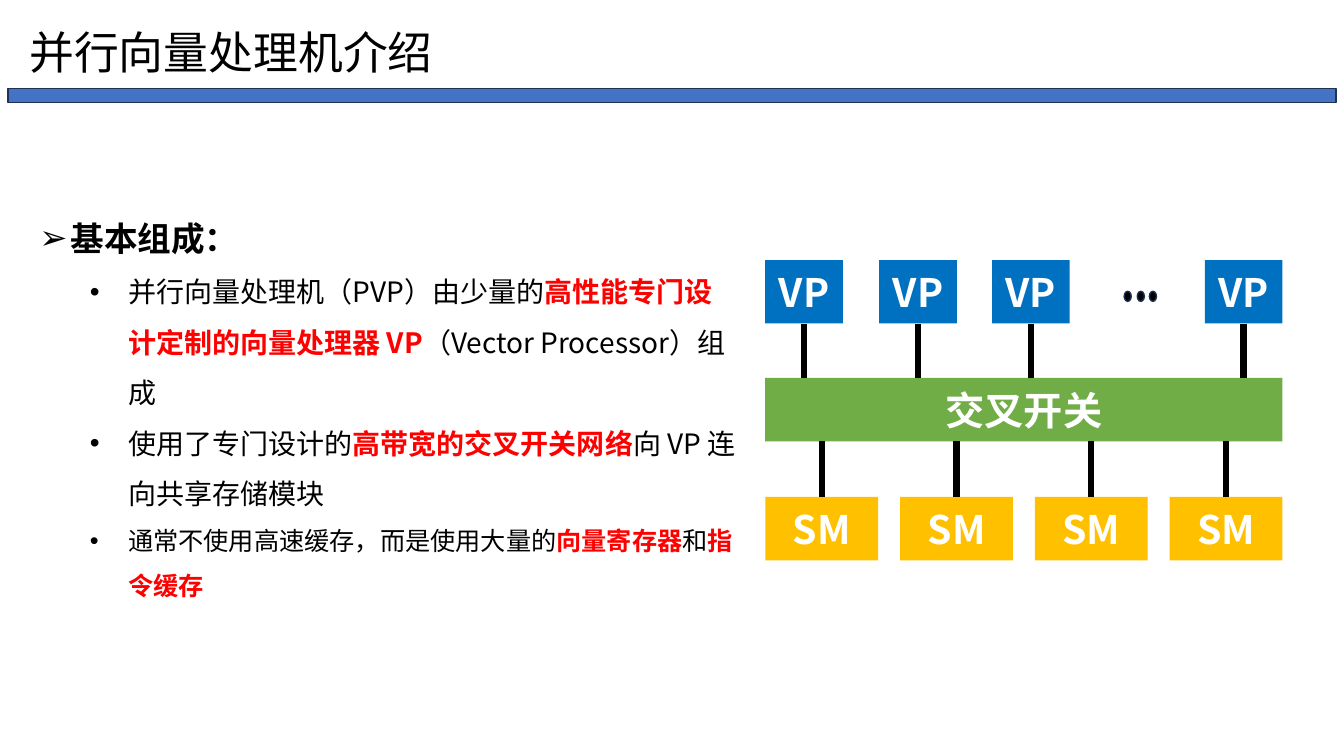
from lxml.etree import SubElement
from pptx import Presentation
from pptx.dml.color import RGBColor
from pptx.enum.shapes import MSO_CONNECTOR, MSO_SHAPE
from pptx.enum.text import MSO_ANCHOR, MSO_AUTO_SIZE, PP_ALIGN
from pptx.oxml.ns import qn
from pptx.util import Inches, Pt

COLORS = {
    "text": "000000", "accent": "FF0000", "white": "FFFFFF",
    "processor": "0070C0", "switch": "70AD47", "memory": "FFC000",
    "banner": "4472C4", "outline": "1E3256",
}


class SlideBuilder:
    font_name = "Noto Sans CJK SC"

    def __init__(self, slide):
        self.slide = slide

    def color(self, key):
        return RGBColor.from_string(COLORS[key])

    def style(self, paragraph, size, color="text", bold=False):
        font = paragraph.font
        font.name, font.size, font.bold = self.font_name, Pt(size), bold
        font.color.rgb = self.color(color)
        defaults = paragraph._p.get_or_add_pPr().find(qn("a:defRPr"))
        SubElement(defaults, qn("a:ea"), typeface=self.font_name)

    def place(self, placeholder, left, top, width, height):
        placeholder.left, placeholder.top = Inches(left), Inches(top)
        placeholder.width, placeholder.height = Inches(width), Inches(height)
        frame = placeholder.text_frame
        frame.word_wrap = True
        frame.auto_size = MSO_AUTO_SIZE.NONE
        frame.vertical_anchor = MSO_ANCHOR.TOP
        return frame

    def title(self, text, *box):
        frame = self.place(self.slide.shapes.title, *box)
        frame.text = text
        heading = frame.paragraphs[0]
        heading.alignment = PP_ALIGN.LEFT
        self.style(heading, 32)

    def body(self, items, *box):
        frame = self.place(self.slide.placeholders[1], *box)
        for index, (level, size, parts) in enumerate(items):
            item = frame.add_paragraph() if index else frame.paragraphs[0]
            item.level = level
            margin, indent, bullet = (0.88, -0.38, "•") if level else (0.31, -0.31, "➢")
            properties = item._p.get_or_add_pPr()
            properties.set("marL", str(Inches(margin)))
            properties.set("indent", str(Inches(indent)))
            SubElement(properties, qn("a:buChar"), char=bullet)
            item.line_spacing = 1.5 if level else 1.0
            item.space_before = Pt(0)
            self.style(item, size, bold=not level)
            for position, text in enumerate(parts):
                run = item.add_run()
                run.text = text
                if position % 2:
                    run.font.bold = True
                    run.font.color.rgb = self.color("accent")

    def shape(self, kind, fill, left, top, width, height, outline=None):
        shape = self.slide.shapes.add_shape(
            kind, Inches(left), Inches(top), Inches(width), Inches(height))
        shape.shadow.inherit = False
        shape.fill.solid()
        shape.fill.fore_color.rgb = self.color(fill)
        if outline:
            shape.line.color.rgb = self.color(outline)
            shape.line.width = Pt(1)
        else:
            shape.line.fill.background()
        return shape

    def block(self, text, fill, *box):
        block = self.shape(MSO_SHAPE.RECTANGLE, fill, *box)
        frame = block.text_frame
        frame.text = text
        frame.vertical_anchor = MSO_ANCHOR.MIDDLE
        frame.paragraphs[0].alignment = PP_ALIGN.CENTER
        self.style(frame.paragraphs[0], 28, "white", True)
        return block

    def link(self, block, side, end_y):
        x = block.left + block.width // 2
        link = self.slide.shapes.add_connector(
            MSO_CONNECTOR.STRAIGHT, x, block.top, x, Inches(end_y))
        link.begin_connect(block, side)
        link.line.color.rgb = self.color("text")
        link.line.width = Pt(4.5)
        SubElement(link._element.spPr, qn("a:effectLst"))


def main():
    deck = Presentation()
    deck.slide_width, deck.slide_height = Inches(13.33), Inches(7.5)
    builder = SlideBuilder(deck.slides.add_slide(deck.slide_layouts[1]))

    left, width, height = 7.59, 5.13, 0.63
    processor_top, switch_top, memory_top = 2.58, 3.75, 4.93
    processor_width, memory_width = 0.77, 1.12
    memory_pitch = (width - memory_width) / 3

    builder.block("交叉开关", "switch", left, switch_top, width, height)
    for offset in (0, 1.13, 2.25, width - processor_width):
        processor = builder.block("VP", "processor", left + offset, processor_top,
                                  processor_width, height)
        builder.link(processor, 2, switch_top)
    for index in range(4):
        memory = builder.block("SM", "memory", left + index * memory_pitch, memory_top,
                               memory_width, height)
        builder.link(memory, 0, switch_top + height)
    for dot_left in (11.15, 11.28, 11.4):
        builder.shape(MSO_SHAPE.OVAL, "text", dot_left, 2.89, 0.07, 0.1, "outline")

    builder.shape(MSO_SHAPE.RECTANGLE, "banner", 0.08, 0.88, 13.17, 0.14, "outline")
    builder.title("并行向量处理机介绍", 0.19, 0.19, 7.2, 0.64)
    builder.body([
        (0, 24, ["基本组成："]),
        (1, 20, ["并行向量处理机（PVP）由少量的", "高性能专门设计定制的向量处理器 VP",
                 "（Vector Processor）组成"]),
        (1, 20, ["使用了专门设计的", "高带宽的交叉开关网络", "向 VP 连向共享存储模块"]),
        (1, 18, ["通常不使用高速缓存，而是使用大量的", "向量寄存器", "和", "指令缓存"]),
    ], 0.29, 2.11, 7.11, 5.39)

    deck.save("out.pptx")


if __name__ == "__main__":
    main()
